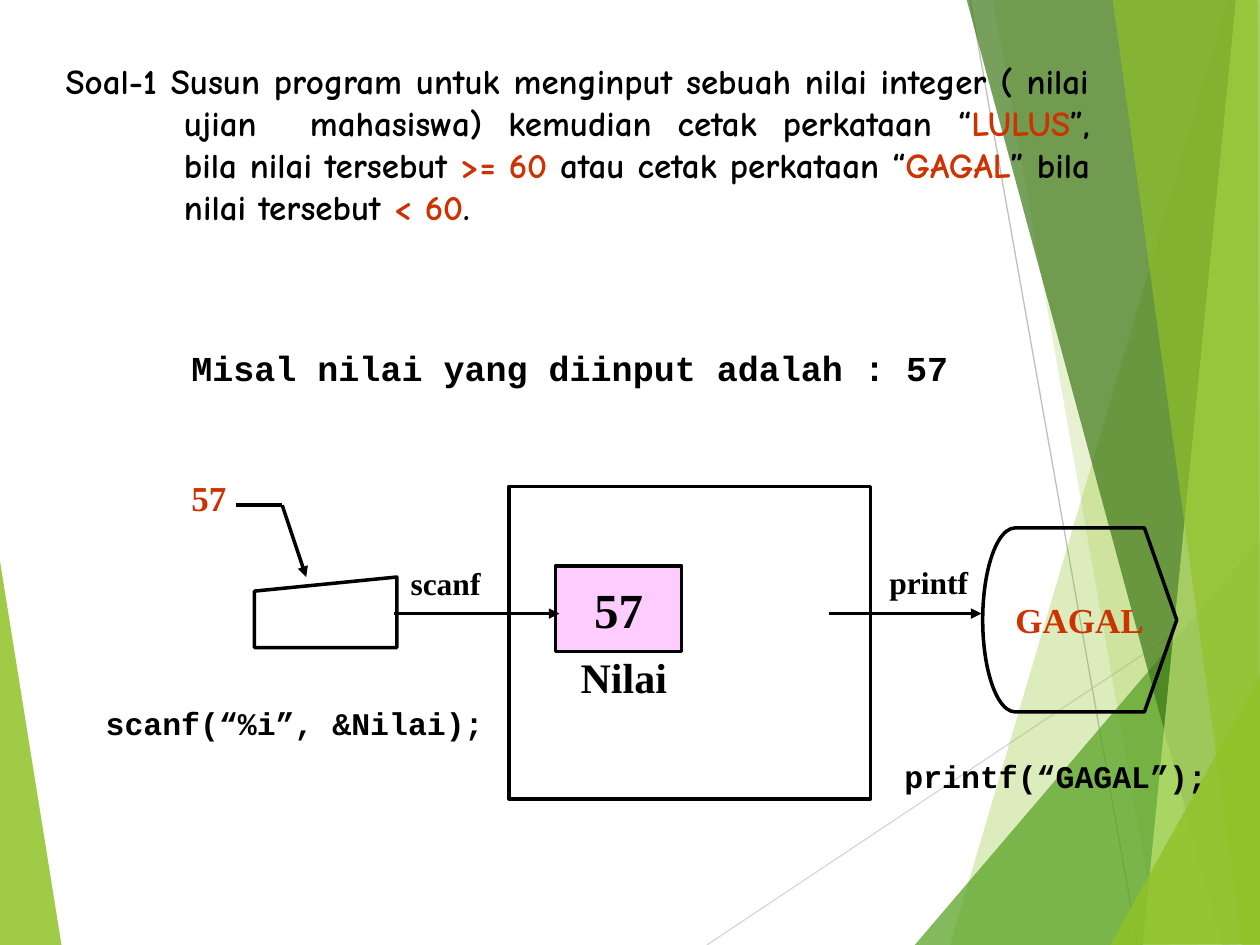
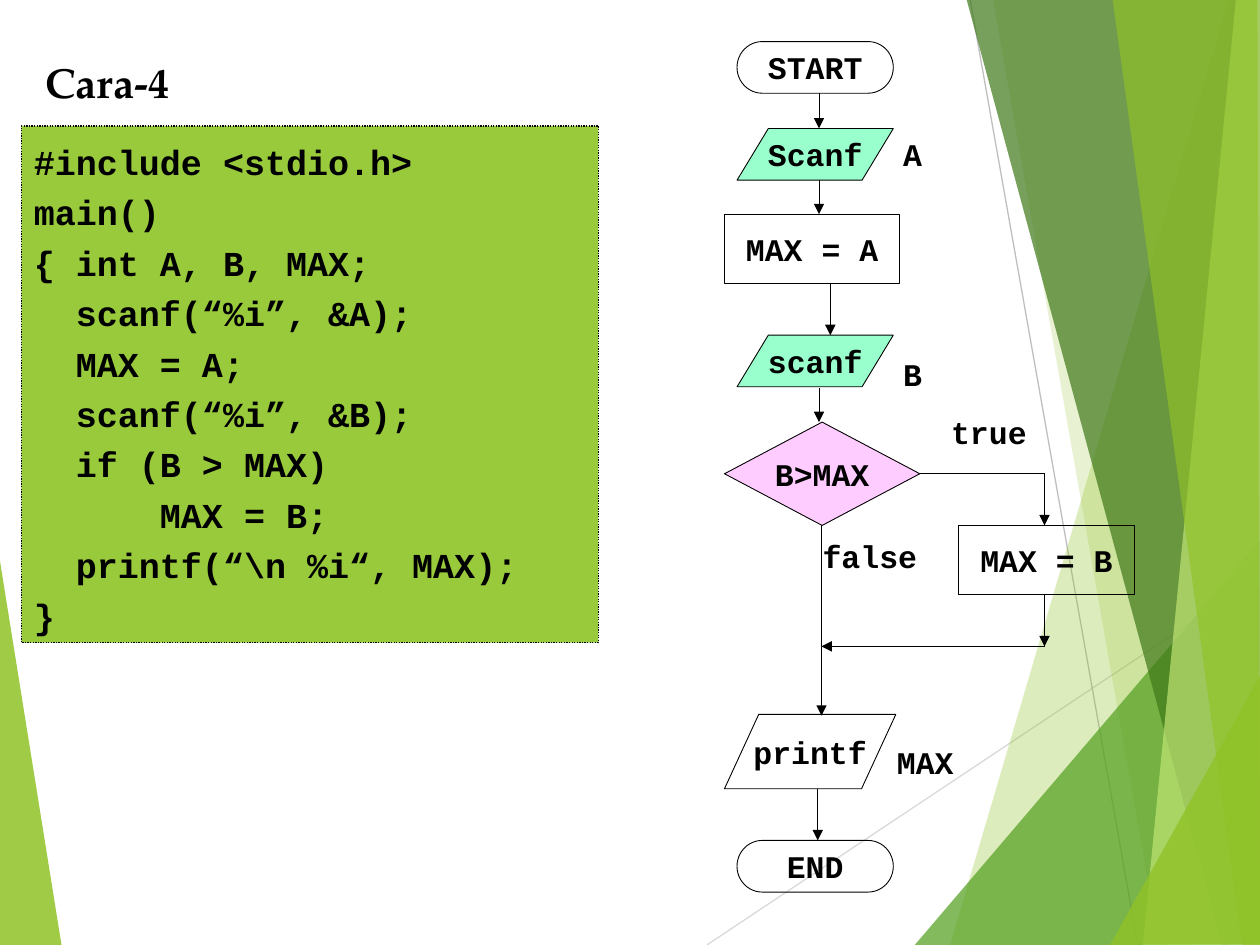
from dataclasses import dataclass

import lxml.etree
import pptx
import pptx.dml.color
import pptx.enum.dml
import pptx.enum.shapes
import pptx.enum.text
import pptx.oxml.ns
import pptx.util

Inches = pptx.util.Inches
SHAPE = pptx.enum.shapes.MSO_SHAPE
ALIGN = pptx.enum.text.PP_ALIGN
ANCHOR = pptx.enum.text.MSO_ANCHOR

COLORS = {
    "text": "000000", "accent": "CC3300", "pink": "FFCCFF", "mint": "99FFCC",
    "code": "99CA3C", "lime": "90C226", "green": "54A021", "forest": "3F7819",
    "pale": "C0E474", "gray": "BFBFBF", "silver": "D9D9D9",
}
SERIF, MONO = "Times New Roman", "Courier New"
TITLE_ONLY = 5


@dataclass
class Band:
    color: str
    alpha: int
    points: list[tuple[float, float]]


@dataclass
class Box:
    kind: SHAPE
    x: float
    y: float
    w: float
    h: float
    text: str = ""
    fill: str = ""
    size: int = 18
    font: str = MONO
    color: str = "text"
    flip: bool = False


@dataclass
class Label:
    x: float
    y: float
    w: float
    h: float
    text: str
    size: int = 18
    font: str = MONO
    color: str = "text"


@dataclass
class Line:
    x1: float
    y1: float
    x2: float
    y2: float
    head: bool = True


LEFT_BAND = Band("lime", 85, [(-0.01, 4.39), (0.49, 7.51), (-0.01, 7.5)])
RIGHT_BANDS = [
    Band("lime", 30, [(9.75, 0), (7.54, 7.5), (10.02, 7.51), (10.01, 0.01)]),
    Band("lime", 20, [(7.88, -0.01), (9.2, 7.5), (10.01, 7.5), (10.01, -0.01)]),
    Band("green", 72, [(7.26, 7.5), (10, 4.29), (10.01, 7.5)]),
    Band("forest", 70, [(7.67, -0.01), (9.7, 7.5), (10.01, 7.49), (10.01, -0.01)]),
    Band("pale", 70, [(9.81, -0.01), (9.07, 7.5), (10.01, 7.5), (10, -0.01)]),
    Band("lime", 65, [(8.83, -0.01), (9.86, 7.5), (10, 7.5), (9.98, -0.01)]),
    Band("lime", 80, [(8.81, 7.5), (10.01, 5.35), (10.01, 7.49)]),
]

QUESTION = (
    "Soal-1 Susun program untuk menginput sebuah nilai integer ( nilai ujian\t"
    "mahasiswa) kemudian cetak perkataan “|LULUS|”, bila nilai tersebut |>= 60| "
    "atau cetak perkataan “|GAGAL|” bila nilai tersebut |< 60|."
)
PROGRAM = """#include <stdio.h>
main()
{ int A, B, MAX;
  scanf(“%i”, &A);
  MAX = A;
  scanf(“%i”, &B);
  if (B > MAX)
      MAX = B;
  printf(“\\n %i“, MAX);
}"""

MEMORY_BOXES = [
    Box(SHAPE.RECTANGLE, 4.41, 4.49, 1, 0.68, "57", "pink", 28, SERIF),
    Box(SHAPE.RECTANGLE, 4.04, 3.86, 2.87, 2.48),
    Box(SHAPE.FLOWCHART_MANUAL_INPUT, 2.02, 4.58, 1.13, 0.56),
    Box(SHAPE.FLOWCHART_DISPLAY, 7.8, 4.19, 1.54, 1.46, "GAGAL", "", 20, SERIF,
        "accent", True),
]
MEMORY_LINES = [
    Line(3.13, 4.87, 4.44, 4.87),
    Line(6.58, 4.87, 7.79, 4.87),
    Line(1.87, 4.01, 2.24, 4.01, False),
    Line(2.24, 4.01, 2.43, 4.58),
]
MEMORY_LABELS = [
    Label(4.51, 5.12, 0.88, 0.5, "Nilai", 24, SERIF),
    Label(3.16, 4.43, 0.75, 0.4, "scanf", 18, SERIF),
    Label(6.96, 4.42, 0.82, 0.4, "printf", 18, SERIF),
    Label(1.42, 3.73, 0.48, 0.44, "57", 20, SERIF, "accent"),
    Label(1.42, 2.7, 6.21, 0.44, "Misal nilai yang diinput adalah : 57", 20),
    Label(0.74, 5.54, 3.2, 0.4, "scanf(“%i”, &Nilai);"),
    Label(7.08, 5.96, 2.6, 0.4, "printf(“GAGAL”);"),
]

FLOW_BOXES = [
    Box(SHAPE.FLOWCHART_TERMINATOR, 5.85, 0.33, 1.24, 0.41, "START"),
    Box(SHAPE.FLOWCHART_DATA, 5.85, 1.02, 1.24, 0.41, "Scanf", "mint"),
    Box(SHAPE.RECTANGLE, 5.75, 1.7, 1.39, 0.55, "MAX = A"),
    Box(SHAPE.FLOWCHART_DATA, 5.85, 2.66, 1.24, 0.41, "scanf", "mint"),
    Box(SHAPE.FLOWCHART_DECISION, 5.75, 3.35, 1.55, 0.82, "B>MAX", "pink"),
    Box(SHAPE.RECTANGLE, 7.61, 4.17, 1.39, 0.55, "MAX = B"),
    Box(SHAPE.FLOWCHART_DATA, 5.75, 5.67, 1.36, 0.59, "printf"),
    Box(SHAPE.FLOWCHART_TERMINATOR, 5.85, 6.67, 1.24, 0.41, "END"),
]
FLOW_LINES = [
    Line(6.5, 0.74, 6.5, 1.02),
    Line(6.5, 1.43, 6.5, 1.7),
    Line(6.59, 2.25, 6.59, 2.66),
    Line(6.5, 3.08, 6.5, 3.35),
    Line(7.3, 3.76, 8.29, 3.76, False),
    Line(8.29, 3.76, 8.29, 4.17),
    Line(8.29, 4.72, 8.29, 5.13),
    Line(8.29, 5.13, 6.52, 5.13),
    Line(6.52, 4.17, 6.52, 5.68),
    Line(6.49, 6.26, 6.49, 6.67),
]
FLOW_LABELS = [
    Label(7.07, 1.02, 0.35, 0.4, "A"),
    Label(7.07, 2.77, 0.35, 0.4, "B"),
    Label(7.45, 3.23, 0.8, 0.4, "true"),
    Label(6.43, 4.21, 0.95, 0.4, "false"),
    Label(7.02, 5.85, 0.65, 0.4, "MAX"),
]


def rgb(name: str) -> pptx.dml.color.RGBColor:
    return pptx.dml.color.RGBColor.from_string(COLORS[name])


def add_xml(parent, tag: str, **attributes: str):
    return lxml.etree.SubElement(parent, pptx.oxml.ns.qn(tag), **attributes)


def write(tf, text: str, *, size: int, font: str, color: str = "text",
          align=ALIGN.LEFT, anchor=ANCHOR.TOP, wrap: bool = False,
          spacing: float = 1.0) -> None:
    tf.auto_size = pptx.enum.text.MSO_AUTO_SIZE.NONE
    tf.word_wrap = wrap
    tf.vertical_anchor = anchor
    for i, line in enumerate(text.split("\n")):
        p = tf.add_paragraph() if i else tf.paragraphs[0]
        p.alignment = align
        p.line_spacing = spacing
        for j, part in enumerate(line.split("|")):
            r = p.add_run()
            r.text = part
            r.font.name = font
            r.font.size = pptx.util.Pt(size)
            r.font.bold = True
            r.font.color.rgb = rgb("accent" if j % 2 else color)


def add_box(slide, box: Box, weight: float):
    sp = slide.shapes.add_shape(box.kind, *map(Inches, (box.x, box.y, box.w, box.h)))
    sp.shadow.inherit = False
    if box.fill:
        sp.fill.solid()
        sp.fill.fore_color.rgb = rgb(box.fill)
    else:
        sp.fill.background()
    sp.line.color.rgb = rgb("text")
    sp.line.width = pptx.util.Pt(weight)
    if box.flip:
        sp._element.spPr.xfrm.set("flipH", "1")
    if box.text:
        write(sp.text_frame, box.text, size=box.size, font=box.font, color=box.color,
              align=ALIGN.CENTER, anchor=ANCHOR.MIDDLE)
    return sp


def add_label(slide, label: Label) -> None:
    sp = slide.shapes.add_textbox(*map(Inches, (label.x, label.y, label.w, label.h)))
    write(sp.text_frame, label.text, size=label.size, font=label.font, color=label.color)


def add_line(slide, line: Line, weight: float, color: str = "text") -> None:
    sp = slide.shapes.add_connector(
        pptx.enum.shapes.MSO_CONNECTOR.STRAIGHT,
        *map(Inches, (line.x1, line.y1, line.x2, line.y2)))
    sp.line.color.rgb = rgb(color)
    sp.line.width = pptx.util.Pt(weight)
    if line.head:
        add_xml(sp.line._get_or_add_ln(), "a:tailEnd", type="triangle")
    add_xml(sp._element.spPr, "a:effectLst")


def add_band(slide, band: Band) -> None:
    start, *rest = [(Inches(x), Inches(y)) for x, y in band.points]
    builder = slide.shapes.build_freeform(*start)
    builder.add_line_segments(rest, close=True)
    sp = builder.convert_to_shape()
    sp.shadow.inherit = False
    sp.line.fill.background()
    sp.fill.solid()
    sp.fill.fore_color.rgb = rgb(band.color)
    fill_color = sp._element.spPr.find(".//" + pptx.oxml.ns.qn("a:srgbClr"))
    add_xml(fill_color, "a:alpha", val=str(band.alpha * 1000))


def add_slide(prs):
    slide = prs.slides.add_slide(prs.slide_layouts[TITLE_ONLY])
    add_band(slide, LEFT_BAND)
    add_line(slide, Line(5.61, 7.5, 10.01, 4.57, False), 0.75, "silver")
    add_line(slide, Line(7.7, 0, 9.03, 7.5, False), 0.75, "gray")
    for band in RIGHT_BANDS:
        add_band(slide, band)
    slide.shapes._spTree.append(slide.shapes.title._element)
    return slide


def set_title(slide, x: float, y: float, w: float, h: float, text: str, **fmt):
    sp = slide.shapes.title
    sp.left, sp.top, sp.width, sp.height = map(Inches, (x, y, w, h))
    write(sp.text_frame, text, **fmt)
    return sp


def add_diagram(slide, boxes: list[Box], lines: list[Line], labels: list[Label],
                weight: float) -> None:
    for box in boxes:
        add_box(slide, box, weight)
    for line in lines:
        add_line(slide, line, weight)
    for label in labels:
        add_label(slide, label)


def build_question(prs) -> None:
    slide = add_slide(prs)
    sp = set_title(slide, 0.42, 0.42, 8.33, 1.44, QUESTION, size=20,
                   font="Comic Neue", align=ALIGN.JUSTIFY, wrap=True)
    pPr = sp.text_frame.paragraphs[0]._p.get_or_add_pPr()
    pPr.set("marL", str(Inches(0.94)))
    pPr.set("indent", str(Inches(-0.94)))
    add_xml(add_xml(pPr, "a:tabLst"), "a:tab", pos=str(Inches(1.83)), algn="l")
    add_diagram(slide, MEMORY_BOXES, MEMORY_LINES, MEMORY_LABELS, 2)


def build_flowchart(prs) -> None:
    slide = add_slide(prs)
    set_title(slide, 0.26, 0.4, 1.28, 0.5, "Cara-4", size=24, font="TeX Gyre Pagella")
    code = add_box(slide, Box(SHAPE.RECTANGLE, 0.17, 1, 4.58, 4.1, fill="code"), 0.75)
    code.line.dash_style = pptx.enum.dml.MSO_LINE.ROUND_DOT
    write(code.text_frame, PROGRAM, size=20, font=MONO, wrap=True, spacing=1.2)
    add_diagram(slide, FLOW_BOXES, FLOW_LINES, FLOW_LABELS, 0.5)


def main() -> None:
    prs = pptx.Presentation()
    prs.slide_width, prs.slide_height = Inches(10), Inches(7.5)
    build_question(prs)
    build_flowchart(prs)
    prs.save("out.pptx")


if __name__ == "__main__":
    main()
